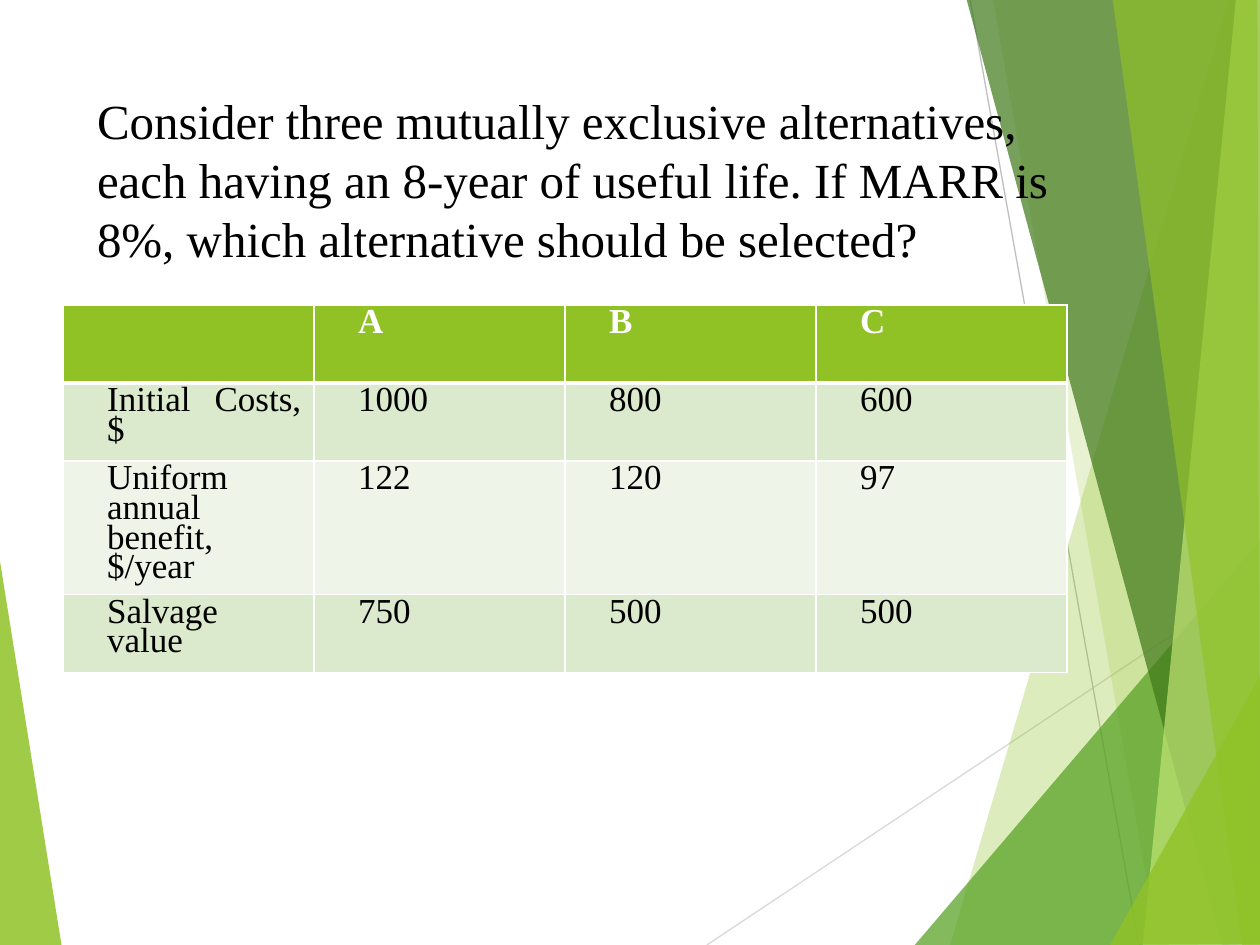
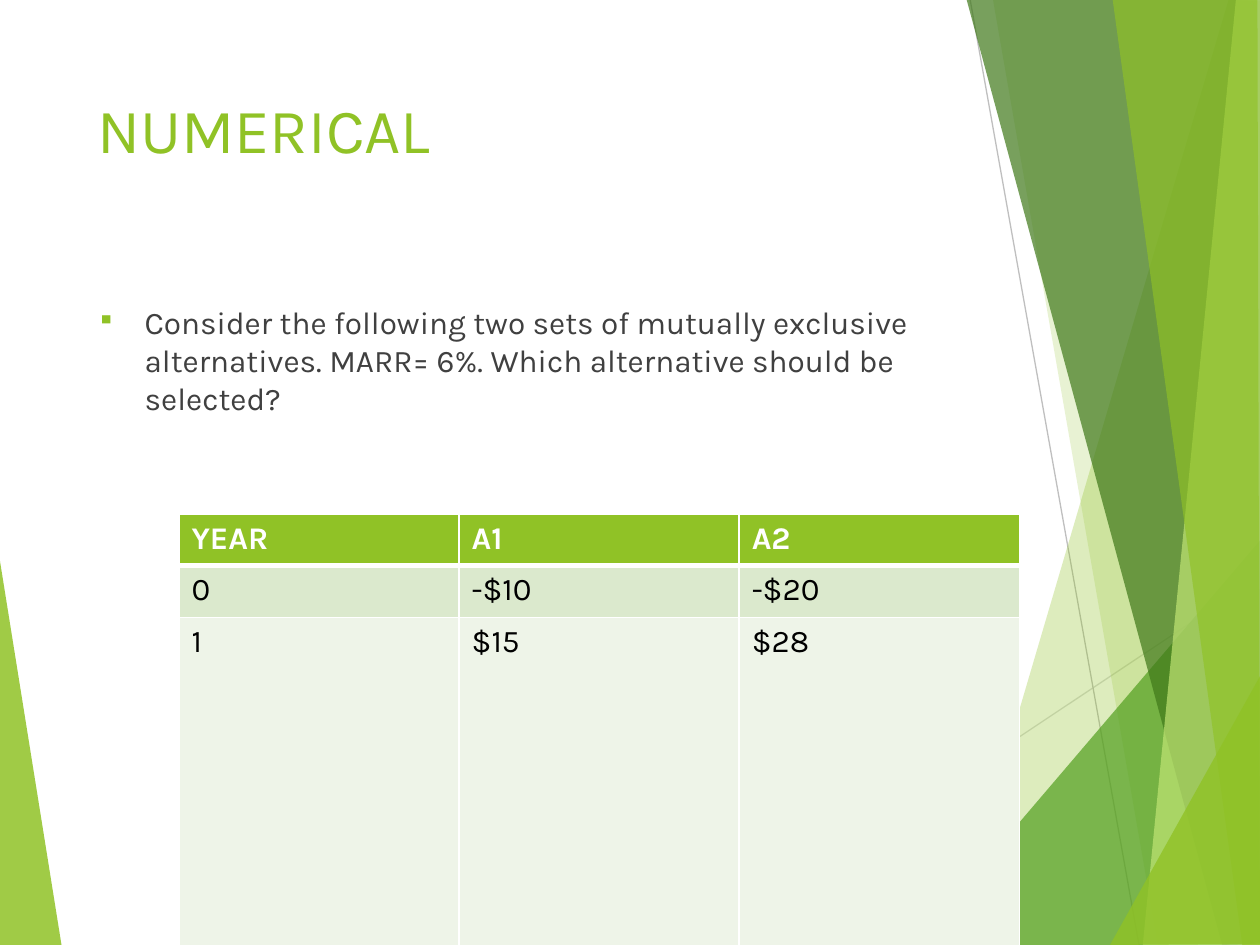
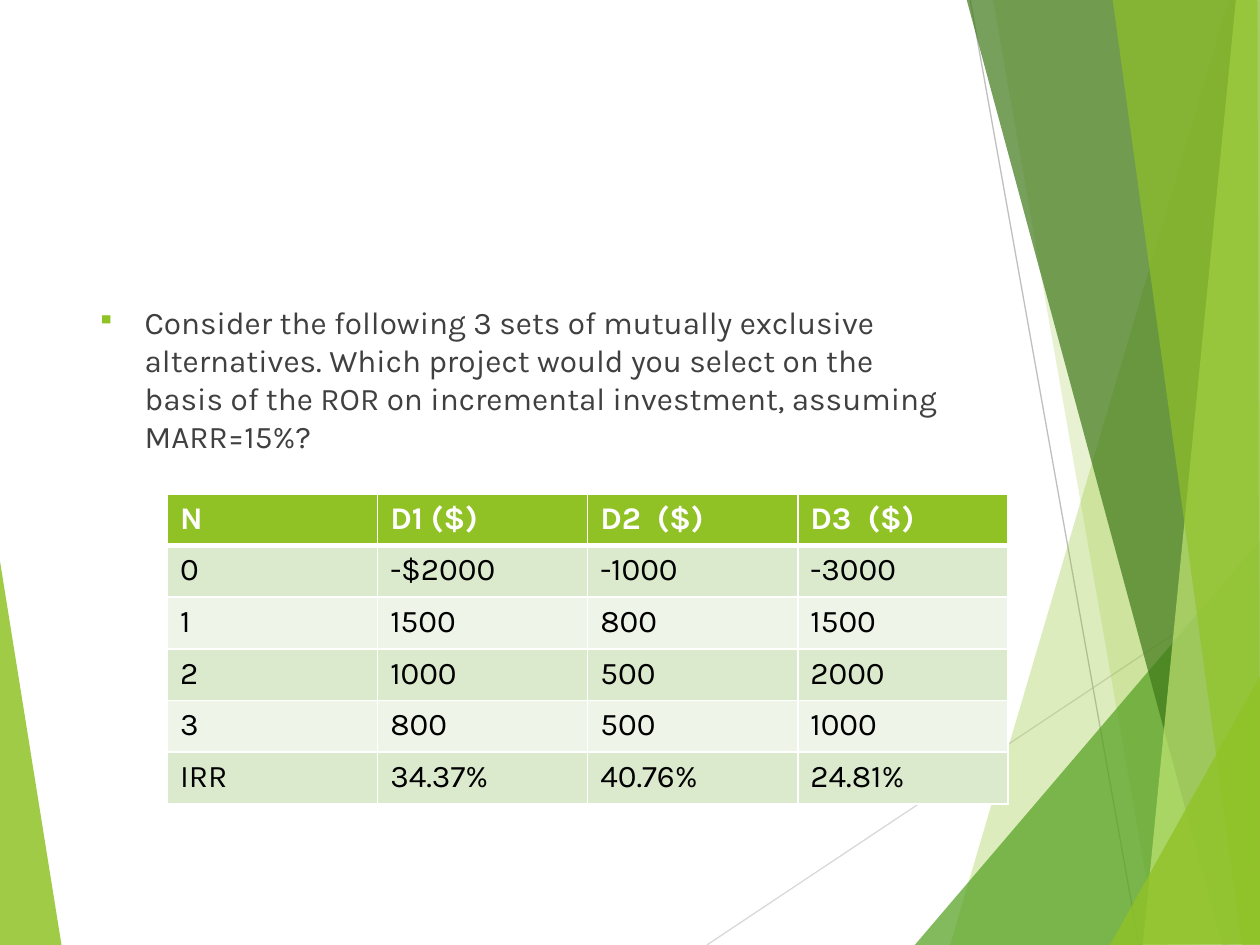
from lxml import etree
from pptx import Presentation
from pptx.dml.color import RGBColor
from pptx.enum.shapes import MSO_CONNECTOR
from pptx.enum.text import MSO_ANCHOR, MSO_AUTO_SIZE, PP_ALIGN
from pptx.oxml.ns import qn
from pptx.util import Inches, Pt

STRAIGHT = MSO_CONNECTOR.STRAIGHT
TOP = MSO_ANCHOR.TOP
NO_FIT = MSO_AUTO_SIZE.NONE
LEFT, JUSTIFY = PP_ALIGN.LEFT, PP_ALIGN.JUSTIFY
TITLE_ONLY, BLANK = 5, 6
SANS, SERIF = "Karla", "Times New Roman"

COLORS = {
    "lime": "90C226",
    "green": "54A021",
    "forest": "3F7819",
    "pale lime": "C0E474",
    "light gray": "D9D9D9",
    "gray": "BFBFBF",
    "text": "404040",
    "black": "000000",
    "white": "FFFFFF",
    "odd row": "DBE9CD",
    "even row": "EEF4E8",
}

RAYS = [
    ("light gray", (5.61, 7.5), (10.01, 4.57)),
    ("gray", (7.7, 0), (9.04, 7.5)),
]

FACETS = [
    ("lime", 85, [(-0.01, 4.39), (0.49, 7.51), (-0.01, 7.5)]),
    ("lime", 30, [(9.75, 0), (7.54, 7.5), (10.02, 7.51), (10.01, 0.01)]),
    ("lime", 20, [(7.88, -0.01), (9.19, 7.5), (10.01, 7.5), (10.01, -0.01)]),
    ("green", 72, [(7.26, 7.5), (10, 4.29), (10.01, 7.5)]),
    ("forest", 70, [(7.67, -0.01), (9.7, 7.5), (10.01, 7.49), (10.01, -0.01)]),
    ("pale lime", 70, [(9.81, -0.01), (9.07, 7.5), (10.01, 7.5), (10, -0.01)]),
    ("lime", 65, [(8.83, -0.01), (9.86, 7.5), (10, 7.5), (9.98, -0.01)]),
    ("lime", 80, [(8.81, 7.5), (10.01, 5.35), (10.01, 7.49)]),
]


def color(name):
    return RGBColor.from_string(COLORS[name])


def set_font(para, face, size, color_name, bold=False):
    font = para.font
    font.name, font.size, font.bold = face, Pt(size), bold
    font.color.rgb = color(color_name)


def add_ray(page, color_name, start, end):
    ray = page.shapes.add_connector(STRAIGHT, *map(Inches, start + end))
    ray.line.color.rgb = color(color_name)
    ray.line.width = Pt(0.75)
    etree.SubElement(ray._element.spPr, qn("a:effectLst"))
    return ray


def add_facet(page, color_name, opacity, corners):
    points = [(Inches(x), Inches(y)) for x, y in corners]
    builder = page.shapes.build_freeform(*points[0])
    builder.add_line_segments(points[1:], close=True)
    facet = builder.convert_to_shape()
    facet.shadow.inherit = False
    facet.fill.solid()
    facet.fill.fore_color.rgb = color(color_name)
    facet.line.fill.background()
    tint = facet._element.spPr.find(".//" + qn("a:srgbClr"))
    etree.SubElement(tint, qn("a:alpha"), val=str(opacity * 1000))
    return facet


def decorate_master(deck, page):
    first_placeholder = deck.slide_master.shapes[0]._element
    pieces = [add_facet(page, *FACETS[0])]
    pieces += [add_ray(page, *ray) for ray in RAYS]
    pieces += [add_facet(page, *facet) for facet in FACETS[1:]]
    for piece in pieces:
        first_placeholder.addprevious(piece._element)


def set_title(page, text, width, height, face, size, color_name):
    title = page.shapes.title
    title.left, title.top = Inches(0.67), Inches(0.67)
    title.width, title.height = Inches(width), Inches(height)
    frame = title.text_frame
    frame.text = text
    frame.word_wrap = True
    frame.auto_size = NO_FIT
    frame.vertical_anchor = TOP
    para = frame.paragraphs[0]
    para.alignment = LEFT
    set_font(para, face, size, color_name)


def add_question(page, text):
    box = page.shapes.add_textbox(Inches(0.67), Inches(2.36), Inches(6.94), Inches(4.24))
    box.text_frame.word_wrap = True
    para = box.text_frame.paragraphs[0]
    para.text = text
    properties = para._p.get_or_add_pPr()
    properties.set("marL", str(Inches(0.38)))
    properties.set("indent", str(-Inches(0.38)))
    bullet_color = etree.SubElement(properties, qn("a:buClr"))
    etree.SubElement(bullet_color, qn("a:srgbClr"), val=COLORS["lime"])
    etree.SubElement(properties, qn("a:buSzPct"), val="80000")
    etree.SubElement(properties, qn("a:buChar"), char="▪")
    para.space_before = Pt(10)
    set_font(para, SANS, 18, "text")


def set_borders(cell, top, bottom):
    properties = cell._tc.get_or_add_tcPr()
    for side, width in (("L", 1), ("R", 1), ("T", top), ("B", bottom)):
        border = etree.SubElement(properties, qn("a:ln" + side), w=str(Pt(width)))
        fill = etree.SubElement(border, qn("a:solidFill"))
        etree.SubElement(fill, qn("a:srgbClr"), val=COLORS["white"])


def fill_cell(cell, text, row, face, size, justified):
    header = row == 0
    set_borders(cell, top=3 if row == 1 else 1, bottom=3 if header else 1)
    cell.fill.solid()
    cell.fill.fore_color.rgb = color("lime" if header else "odd row" if row % 2 else "even row")
    para = cell.text_frame.paragraphs[0]
    para.text = text
    if justified:
        para.alignment = JUSTIFY
        para.line_spacing = Pt(17)
        properties = para._p.get_or_add_pPr()
        properties.set("marL", str(Inches(0.25)))
        properties.set("indent", "0")
    set_font(para, face, size, "white" if header else "black", header)


def add_data_table(page, left, top, width, heights, rows, face=SANS, size=18, justified=False):
    count = len(rows[0])
    frame = page.shapes.add_table(
        len(rows), count, Inches(left), Inches(top), Inches(width), Inches(sum(heights)))
    table = frame.table
    for column in table.columns:
        column.width = Inches(width / count)
    for index, (height, texts) in enumerate(zip(heights, rows)):
        table.rows[index].height = Inches(height)
        for cell, text in zip(table.rows[index].cells, texts):
            fill_cell(cell, text, index, face, size, justified)


def build_three_alternatives(page):
    set_title(
        page,
        "Consider three mutually exclusive alternatives, each having an 8-year of useful life. "
        "If MARR is 8%, which alternative should be selected?",
        7.92, 2.55, SERIF, 28, "black")
    add_data_table(page, 0.5, 2.42, 7.97, [0.62, 0.62, 1.06, 0.62], [
        ["", "A", "B", "C"],
        ["Initial Costs, $", "1000", "800", "600"],
        ["Uniform annual benefit,  $/year", "122", "120", "97"],
        ["Salvage value", "750", "500", "500"],
    ], SERIF, 20, justified=True)


def build_two_alternatives(page):
    set_title(page, "NUMERICAL", 6.94, 1.44, SANS, 36, "lime")
    add_question(
        page,
        "Consider the following two sets of mutually exclusive alternatives. MARR= 6%. "
        "Which alternative should be selected?")
    add_data_table(page, 1.42, 4.08, 6.67, [0.41, 0.41, 3.44], [
        ["YEAR", "A1", "A2"],
        ["0", "-$10", "-$20"],
        ["1", "$15", "$28"],
    ])


def build_incremental_return(page):
    add_question(
        page,
        "Consider the following 3 sets of mutually exclusive alternatives. Which project would "
        "you select on the basis of the ROR on incremental investment, assuming MARR=15%?")
    add_data_table(page, 1.33, 3.92, 6.67, [0.41] * 6, [
        ["N", "D1 ($)", "D2  ($)", "D3  ($)"],
        ["0", "-$2000", "-1000", "-3000"],
        ["1", "1500", "800", "1500"],
        ["2", "1000", "500", "2000"],
        ["3", "800", "500", "1000"],
        ["IRR", "34.37%", "40.76%", "24.81%"],
    ])


def main():
    deck = Presentation()
    deck.slide_width, deck.slide_height = Inches(10), Inches(7.5)
    layouts = [TITLE_ONLY, TITLE_ONLY, BLANK]
    pages = [deck.slides.add_slide(deck.slide_layouts[index]) for index in layouts]
    decorate_master(deck, pages[0])
    build_three_alternatives(pages[0])
    build_two_alternatives(pages[1])
    build_incremental_return(pages[2])
    deck.save("out.pptx")


if __name__ == "__main__":
    main()
